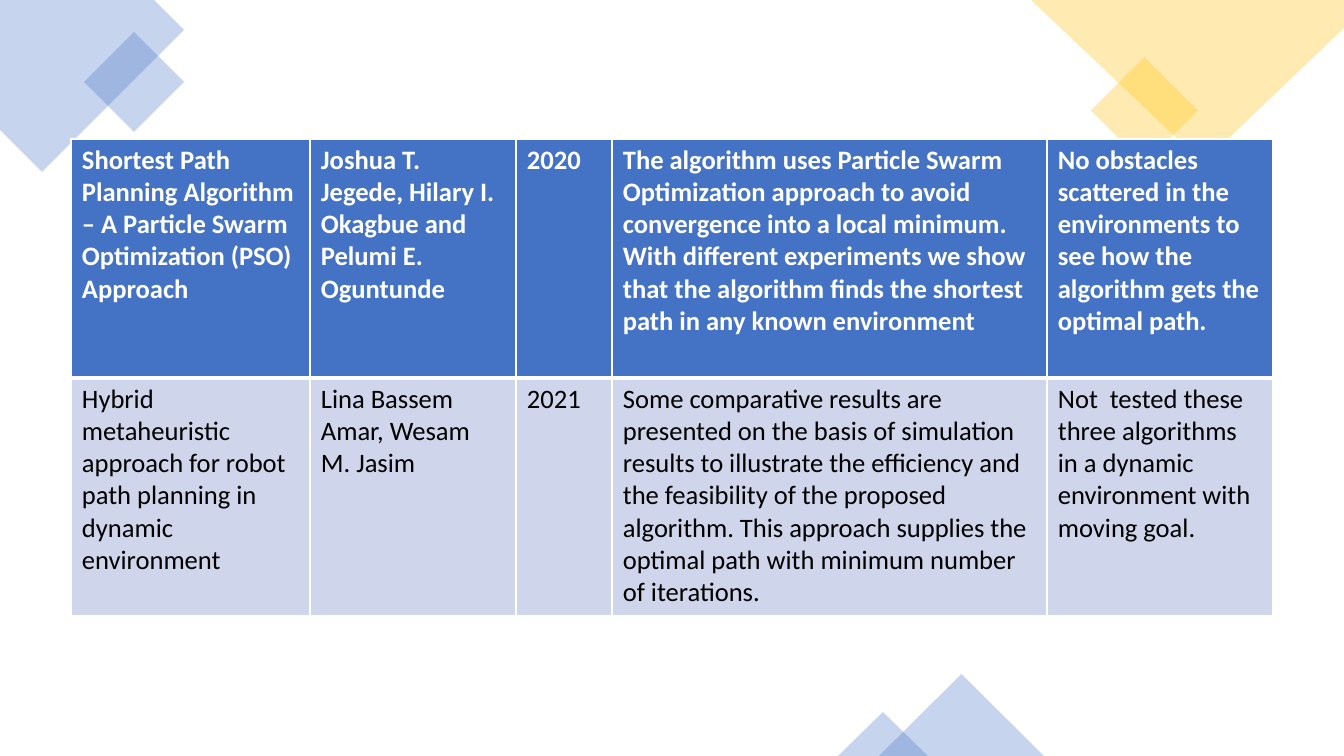
from lxml.etree import SubElement
from pptx import Presentation
from pptx.dml.color import RGBColor
from pptx.enum.shapes import MSO_SHAPE
from pptx.oxml.ns import qn
from pptx.util import Emu, Pt

SCALE = 914400 / 100.8
BLUE, YELLOW, PALE, WHITE, BLACK = "4472C4", "FFC000", "CFD5EA", "FFFFFF", "000000"
COLUMN_WIDTHS = [239, 206, 96, 435, 226]
ROW_HEIGHTS = [239, 238]
PAPERS = [
    [
        "Shortest Path Planning Algorithm – A Particle Swarm Optimization (PSO) Approach",
        "Joshua T. Jegede, Hilary I. Okagbue and Pelumi E. Oguntunde",
        "2020",
        "The algorithm uses Particle Swarm Optimization approach to avoid convergence "
        "into a local minimum. With different experiments we show that the algorithm "
        "finds the shortest path in any known environment",
        "No obstacles scattered in the environments to see how the algorithm gets "
        "the optimal path.",
    ],
    [
        "Hybrid metaheuristic approach for robot path planning in dynamic environment",
        "Lina Bassem Amar, Wesam M. Jasim",
        "2021",
        "Some comparative results are presented on the basis of simulation results to "
        "illustrate the efficiency and the feasibility of the proposed algorithm. This "
        "approach supplies the optimal path with minimum number of iterations.",
        "Not  tested these three algorithms in a dynamic environment with moving goal.",
    ],
]


def px(length):
    """Turn pixels into EMU."""
    return Emu(round(length * SCALE))


def paint(fill, color):
    """Give a fill one solid colour."""
    fill.solid()
    fill.fore_color.rgb = RGBColor.from_string(color)


def make_translucent(shape, color):
    """Fill a shape at 30% opacity without outline or shadow."""
    paint(shape.fill, color)
    tint = shape.fill._xPr.find(qn("a:solidFill"))[0]
    SubElement(tint, qn("a:alpha"), val="30000")
    shape.line.fill.background()
    shape.shadow.inherit = False


def add_ornament(page, kind, left, top, width, height, color):
    """Add a translucent preset shape."""
    shape = page.shapes.add_shape(kind, px(left), px(top), px(width), px(height))
    make_translucent(shape, color)


def add_polygon(page, points, color):
    """Add a translucent closed outline."""
    builder = page.shapes.build_freeform(*points[0], scale=SCALE)
    builder.add_line_segments(points[1:], close=True)
    make_translucent(builder.convert_to_shape(), color)


def add_borders(cell, bottom, top):
    """Draw white cell borders, with bottom and top widths in points."""
    properties = cell._tc.get_or_add_tcPr()
    for side, width in (("L", 1), ("R", 1), ("T", top), ("B", bottom)):
        line = SubElement(properties, qn(f"a:ln{side}"), w=str(Pt(width)))
        fill = SubElement(line, qn("a:solidFill"))
        SubElement(fill, qn("a:srgbClr"), val=WHITE)


def format_cell(cell, text, is_header):
    """Write and style one table cell."""
    cell.text = text
    cell.margin_left = cell.margin_right = px(11)
    cell.margin_top = cell.margin_bottom = px(5)
    add_borders(cell, bottom=3 if is_header else 1, top=1 if is_header else 3)
    paint(cell.fill, BLUE if is_header else PALE)
    font = cell.text_frame.paragraphs[0].font
    font.name, font.size, font.bold = "Calibri", Pt(19), is_header
    font.color.rgb = RGBColor.from_string(WHITE if is_header else BLACK)


def add_paper_table(page, left, top):
    """Add the literature table."""
    frame = page.shapes.add_table(
        len(ROW_HEIGHTS), len(COLUMN_WIDTHS), px(left), px(top),
        px(sum(COLUMN_WIDTHS)), px(sum(ROW_HEIGHTS)))
    table = frame.table
    for column, width in zip(table.columns, COLUMN_WIDTHS):
        column.width = px(width)
    for row, height, texts in zip(table.rows, ROW_HEIGHTS, PAPERS):
        row.height = px(height)
        for cell, text in zip(row.cells, texts):
            format_cell(cell, text, is_header=texts is PAPERS[0])


def main():
    """Build and save the slide."""
    deck = Presentation()
    deck.slide_width, deck.slide_height = px(1344), px(756)
    page = deck.slides.add_slide(deck.slide_layouts[6])
    add_polygon(page, [(0, 0), (154, 0), (184, 30), (42, 172), (0, 130)], BLUE)
    add_ornament(page, MSO_SHAPE.DIAMOND, 84, 32, 100, 100, BLUE)
    add_ornament(page, MSO_SHAPE.DIAMOND, 1091, 57, 107, 107, YELLOW)
    add_polygon(page, [(1031, 0), (1344, 0), (1344, 28), (1203, 163)], YELLOW)
    add_ornament(page, MSO_SHAPE.ISOSCELES_TRIANGLE, 879, 674, 165, 82, BLUE)
    add_ornament(page, MSO_SHAPE.ISOSCELES_TRIANGLE, 838, 712, 90, 44, BLUE)
    add_paper_table(page, 71, 139)
    deck.save("out.pptx")


main()
